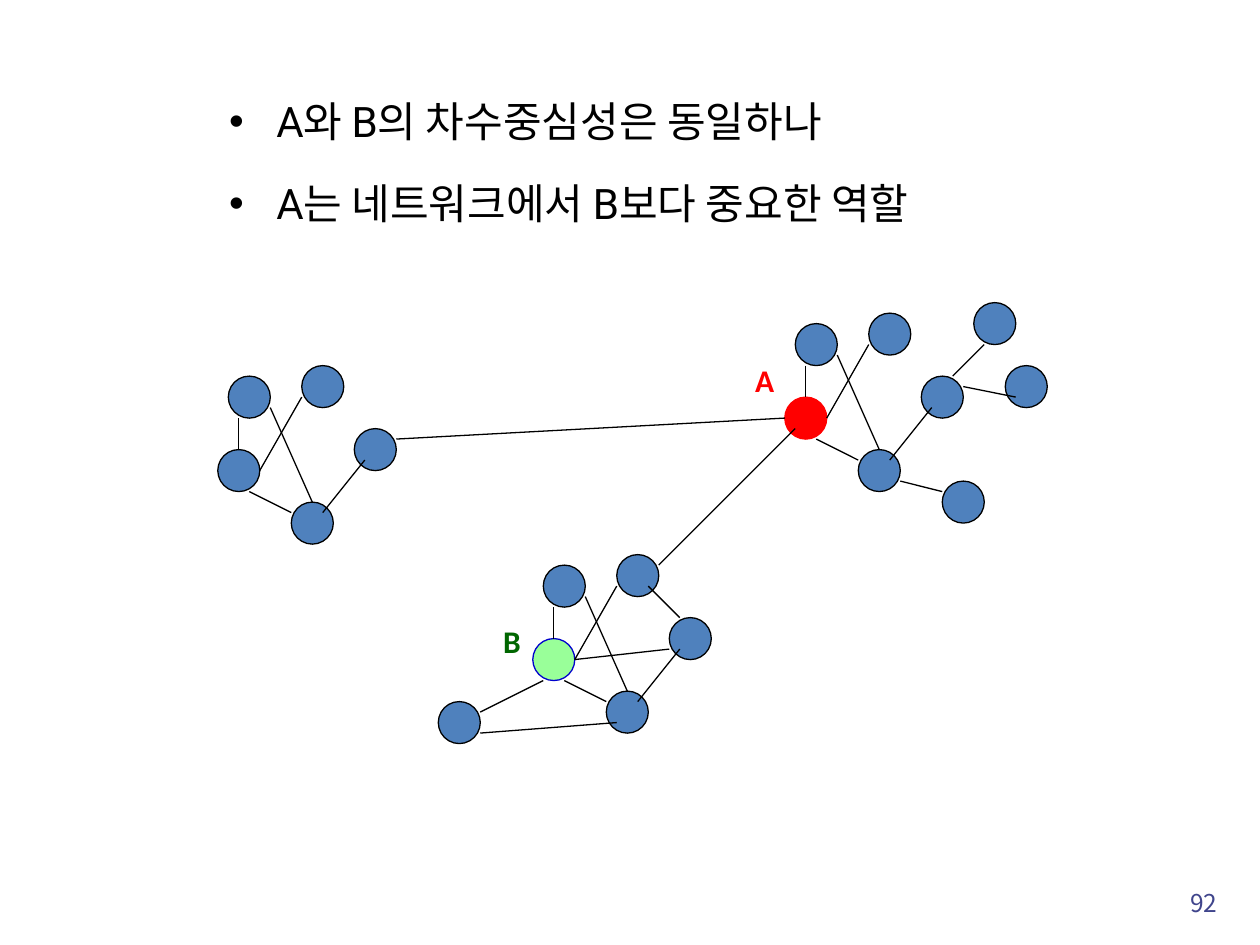
from lxml.etree import SubElement
from pptx import Presentation
from pptx.dml.color import RGBColor
from pptx.enum.shapes import MSO_CONNECTOR as Connector, MSO_SHAPE as Shape
from pptx.enum.text import MSO_ANCHOR as Anchor, PP_ALIGN as Align
from pptx.oxml.ns import qn
from pptx.util import Cm, Pt

BLACK = RGBColor(0x00, 0x00, 0x00)
BLUE = RGBColor(0x4F, 0x81, 0xBD)
RED = RGBColor(0xFF, 0x00, 0x00)
LIGHT_GREEN = RGBColor(0x99, 0xFF, 0x99)
DARK_GREEN = RGBColor(0x00, 0x66, 0x00)
ROYAL_BLUE = RGBColor(0x00, 0x00, 0xCC)
INDIGO = RGBColor(0x40, 0x45, 0x8C)

KOREAN_FONT = "Noto Sans CJK KR"
GRID = Cm(2.54) / 12
NODE_SIZE = 4

HUB = (0, 8)
CLUSTER_NODES = [(7, 13), (1, 1), (13, 6), (8, 0)]
CLUSTER_LINKS = [
    ((10, 14), (14, 9)),
    ((5, 4), (9, 13)),
    ((4, 10), (8, 3)),
    ((2, 5), (2, 8)),
    ((3, 12), (7, 14)),
]
OUTER_NODES = [(72, 0), (75, 6), (69, 17), (21, 38)]
OUTER_LINKS = [
    ((65, 17), (69, 18)),
    ((70, 7), (73, 4)),
    ((71, 8), (76, 9)),
    ((41, 27), (44, 30)),
    ((54, 11), (17, 13)),
    ((55, 12), (42, 25)),
    ((31, 36), (25, 39)),
    ((25, 41), (38, 40)),
    ((34, 34), (43, 33)),
]


def add_text(slide, box, lines, font, size, color, bold=False,
             align=Align.LEFT, anchor=Anchor.TOP, bullet=None, space_after=0):
    """Write lines into a wrapped text box, optionally as a bulleted list."""
    frame = slide.shapes.add_textbox(*box).text_frame
    frame.word_wrap = True
    frame.vertical_anchor = anchor
    for index, line in enumerate(lines):
        paragraph = frame.paragraphs[0] if index == 0 else frame.add_paragraph()
        paragraph.alignment = align
        paragraph.space_after = Pt(space_after)
        run = paragraph.add_run()
        run.text = line
        run.font.size = Pt(size)
        run.font.bold = bold
        run.font.color.rgb = color
        run.font.name = font
        SubElement(run.font._element, qn("a:ea"), typeface=KOREAN_FONT)
        if bullet:
            properties = paragraph._p.get_or_add_pPr()
            properties.set("marL", str(Cm(0.95)))
            properties.set("indent", str(-Cm(0.95)))
            SubElement(properties, qn("a:buFont"), typeface="Arial")
            SubElement(properties, qn("a:buChar"), char=bullet)


def locate(origin, cell):
    """Turn a grid cell into a position relative to an origin."""
    return tuple(round(start + step * GRID) for start, step in zip(origin, cell))


def add_node(slide, origin, cell, fill=BLUE, outline=BLACK):
    """Draw one network node."""
    diameter = round(NODE_SIZE * GRID)
    node = slide.shapes.add_shape(Shape.OVAL, *locate(origin, cell), diameter, diameter)
    node.shadow.inherit = False
    node.fill.solid()
    node.fill.fore_color.rgb = fill
    node.line.color.rgb = outline
    node.line.width = Pt(0.75)


def add_link(slide, origin, start, end):
    """Draw one line between two grid cells."""
    link = slide.shapes.add_connector(
        Connector.STRAIGHT, *locate(origin, start), *locate(origin, end))
    link.line.color.rgb = BLACK
    link.line.width = Pt(0.75)
    SubElement(link._element.spPr, qn("a:effectLst"))


def add_cluster(slide, origin, hub_fill=BLUE, hub_outline=BLACK):
    """Draw the five-node cluster that the network repeats."""
    add_node(slide, origin, HUB, hub_fill, hub_outline)
    for cell in CLUSTER_NODES:
        add_node(slide, origin, cell)
    for start, end in CLUSTER_LINKS:
        add_link(slide, origin, start, end)


def add_network(slide, left, top):
    """Draw the three clusters, their bridges, outer nodes and hub labels."""
    origin = (left, top)
    add_cluster(slide, locate(origin, (0, 6)))
    add_cluster(slide, locate(origin, (54, 1)), RED, RED)
    add_cluster(slide, locate(origin, (30, 24)), LIGHT_GREEN, ROYAL_BLUE)
    for cell in OUTER_NODES:
        add_node(slide, origin, cell)
    for start, end in OUTER_LINKS:
        add_link(slide, origin, start, end)
    for name, cell, color in [("A", (50, 5), RED), ("B", (26, 29.8), DARK_GREEN)]:
        add_text(slide, (*locate(origin, cell), Cm(1.27), Cm(1.02)), [name],
                 font="Calibri", size=18, color=color, bold=True)


def add_statements(slide, left, top, width, height):
    """Write the two bulleted statements."""
    add_text(slide, (left, top, width, height),
             ["A와 B의 차수중심성은 동일하나", "A는 네트워크에서 B보다 중요한 역할"],
             font="Roboto", size=24, color=BLACK, bullet="•", space_after=18)


def add_page_number(slide, left, top, width, height):
    """Write the page number at the bottom right."""
    add_text(slide, (left, top, width, height), ["92"], font=KOREAN_FONT, size=14,
             color=INDIGO, align=Align.RIGHT, anchor=Anchor.BOTTOM)


def main():
    """Build and save the slide."""
    deck = Presentation()
    deck.slide_width, deck.slide_height = Cm(25.4), Cm(19.05)
    slide = deck.slides.add_slide(deck.slide_layouts[6])
    add_network(slide, Cm(4.39), Cm(6.1))
    add_statements(slide, Cm(4.37), Cm(1.8), Cm(15.95), Cm(2.95))
    add_page_number(slide, Cm(19.51), Cm(17.35), Cm(5.28), Cm(1.27))
    deck.save("out.pptx")


if __name__ == "__main__":
    main()
